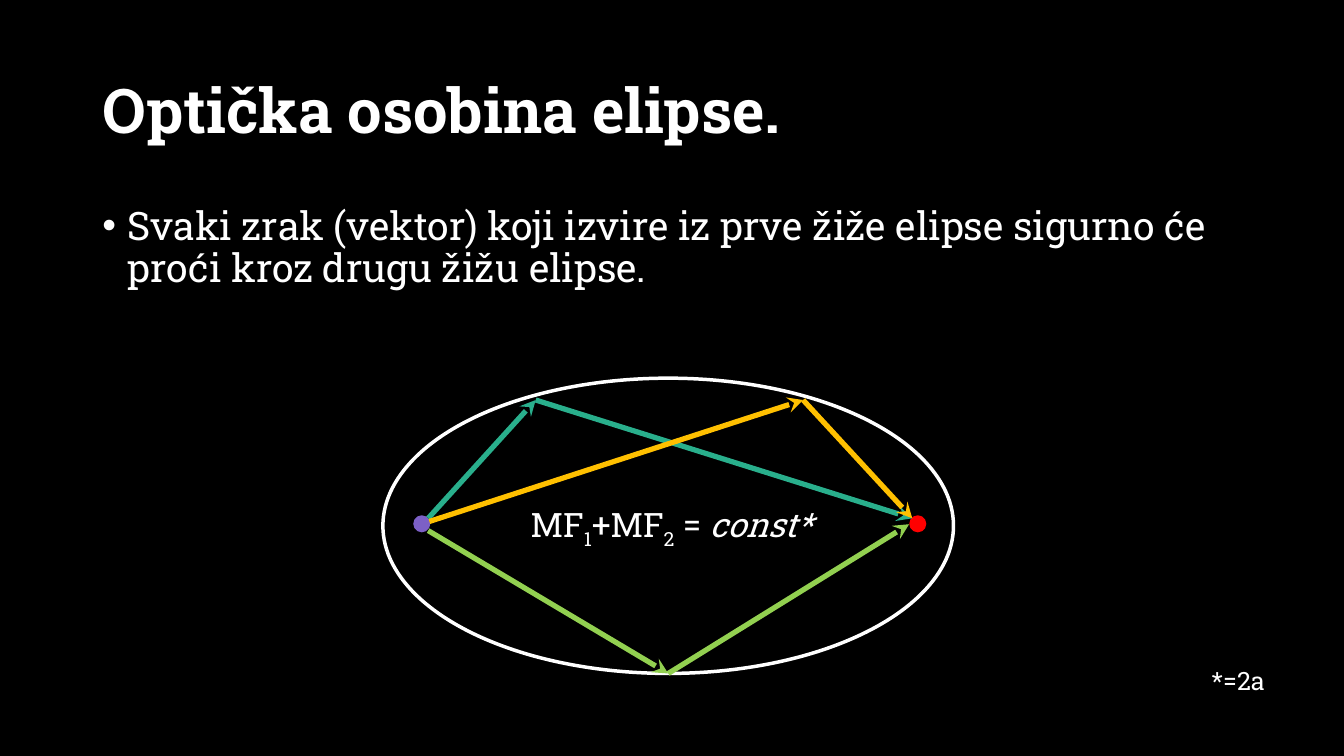
from lxml import etree
from pptx import Presentation
from pptx.dml.color import RGBColor
from pptx.enum.shapes import MSO_CONNECTOR, MSO_SHAPE
from pptx.enum.text import MSO_ANCHOR, MSO_AUTO_SIZE, PP_ALIGN
from pptx.oxml.ns import qn
from pptx.util import Cm, Pt

BLACK = RGBColor(0x00, 0x00, 0x00)
WHITE = RGBColor(0xFF, 0xFF, 0xFF)
RED = RGBColor(0xFF, 0x00, 0x00)
PURPLE = RGBColor(0x7C, 0x60, 0xC6)
TEAL = RGBColor(0x29, 0xAF, 0x8C)
AMBER = RGBColor(0xFF, 0xC0, 0x00)
GREEN = RGBColor(0x92, 0xD0, 0x50)

FONT = "Roboto Slab"
OVAL = MSO_SHAPE.OVAL
STRAIGHT = MSO_CONNECTOR.STRAIGHT
LEFT, CENTER = PP_ALIGN.LEFT, PP_ALIGN.CENTER
MIDDLE = MSO_ANCHOR.MIDDLE
NO_AUTOFIT = MSO_AUTO_SIZE.NONE

FOCUS_SIZE = 0.43
FOCUS_Y = 3.67
FOCI = [(0.98, PURPLE), (13.48, RED)]
RAYS = [
    (TEAL, (1.14, 3.53), (3.85, 0.55), (13.34, 3.53)),
    (AMBER, (1.17, 3.61), (10.59, 0.55), (13.34, 3.53)),
    (GREEN, (1.14, 3.84), (7.19, 7.44), (13.26, 3.68)),
]
FORMULA = [("MF", False), ("1", True), ("+MF", False), ("2", True), (" = ", False)]


def style(paragraph, size, align=LEFT):
    """Set the common type style of a paragraph."""
    paragraph.alignment = align
    paragraph.font.name = FONT
    paragraph.font.size = Pt(size)
    paragraph.font.color.rgb = WHITE


def add_text_frame(slide, box):
    """Add a wrapping text box and return its text frame."""
    frame = slide.shapes.add_textbox(*map(Cm, box)).text_frame
    frame.word_wrap = True
    return frame


def add_title(slide, box):
    """Place and format the slide title."""
    title = slide.shapes.title
    title.left, title.top, title.width, title.height = map(Cm, box)
    frame = title.text_frame
    frame.text = "Optička osobina elipse."
    frame.vertical_anchor = MIDDLE
    frame.auto_size = NO_AUTOFIT
    heading = frame.paragraphs[0]
    style(heading, 44)
    heading.line_spacing = 0.9
    heading.font.bold = True


def add_statement(slide, box):
    """Add the bulleted statement of the property."""
    statement = add_text_frame(slide, box).paragraphs[0]
    statement.text = ("Svaki zrak (vektor) koji izvire iz prve žiže elipse "
                      "sigurno će proći kroz drugu žižu elipse.")
    statement.line_spacing = 0.9
    properties = statement._p.get_or_add_pPr()
    properties.set("marL", str(Cm(0.64)))
    properties.set("indent", str(-Cm(0.64)))
    etree.SubElement(properties, qn("a:buFont")).set("typeface", "Arial")
    etree.SubElement(properties, qn("a:buChar")).set("char", "•")
    style(statement, 28)


def add_oval(slide, box, fill=None):
    """Add a filled dot, or a white outline when no fill is given."""
    oval = slide.shapes.add_shape(OVAL, *map(Cm, box))
    oval.shadow.inherit = False
    if fill is None:
        oval.fill.background()
        oval.line.color.rgb = WHITE
        oval.line.width = Pt(2.5)
    else:
        oval.fill.solid()
        oval.fill.fore_color.rgb = fill
        oval.line.fill.background()


def add_ray(slide, start, end, color):
    """Add one arrow of a light ray."""
    ray = slide.shapes.add_connector(STRAIGHT, *map(Cm, start + end))
    ray.line.color.rgb = color
    ray.line.width = Pt(3.75)
    etree.SubElement(ray.line._get_or_add_ln(), qn("a:tailEnd")).set("type", "stealth")
    etree.SubElement(ray._element.spPr, qn("a:effectLst"))


def add_formula(slide, box):
    """Add the formula with its subscripts and italic constant."""
    formula = add_text_frame(slide, box).paragraphs[0]
    style(formula, 24, CENTER)
    for text, subscript in FORMULA:
        term = formula.add_run()
        term.text = text
        if subscript:
            term._r.get_or_add_rPr().set("baseline", "-25000")
    constant = formula.add_run()
    constant.text = "const*"
    constant.font.italic = True


def add_ellipse_diagram(slide, box):
    """Draw the ellipse, its foci, the reflected rays and the formula."""
    left, top, width, height = box
    add_oval(slide, box)
    for x, color in FOCI:
        corner = (left + x - FOCUS_SIZE / 2, top + FOCUS_Y - FOCUS_SIZE / 2)
        add_oval(slide, corner + (FOCUS_SIZE, FOCUS_SIZE), color)
    for color, *points in RAYS:
        source, touch, target = [(left + x, top + y) for x, y in points]
        add_ray(slide, source, touch, color)
        add_ray(slide, touch, target, color)
    add_formula(slide, (left - 1.63, top + 3.05, 17.81, 1.27))


def add_footnote(slide, box):
    """Add the note that explains the constant."""
    note = add_text_frame(slide, box).paragraphs[0]
    note.text = "*=2a"
    style(note, 18)


def main():
    """Build and save the slide."""
    deck = Presentation()
    deck.slide_width, deck.slide_height = Cm(33.87), Cm(19.05)
    slide = deck.slides.add_slide(deck.slide_layouts.get_by_name("Title Only"))
    slide.background.fill.solid()
    slide.background.fill.fore_color.rgb = BLACK
    add_title(slide, (2.33, 1.02, 29.21, 3.68))
    add_statement(slide, (2.33, 5.08, 29.21, 12.09))
    add_ellipse_diagram(slide, (9.65, 9.53, 14.38, 7.44))
    add_footnote(slide, (30.28, 16.64, 2.54, 1.02))
    deck.save("out.pptx")


if __name__ == "__main__":
    main()
